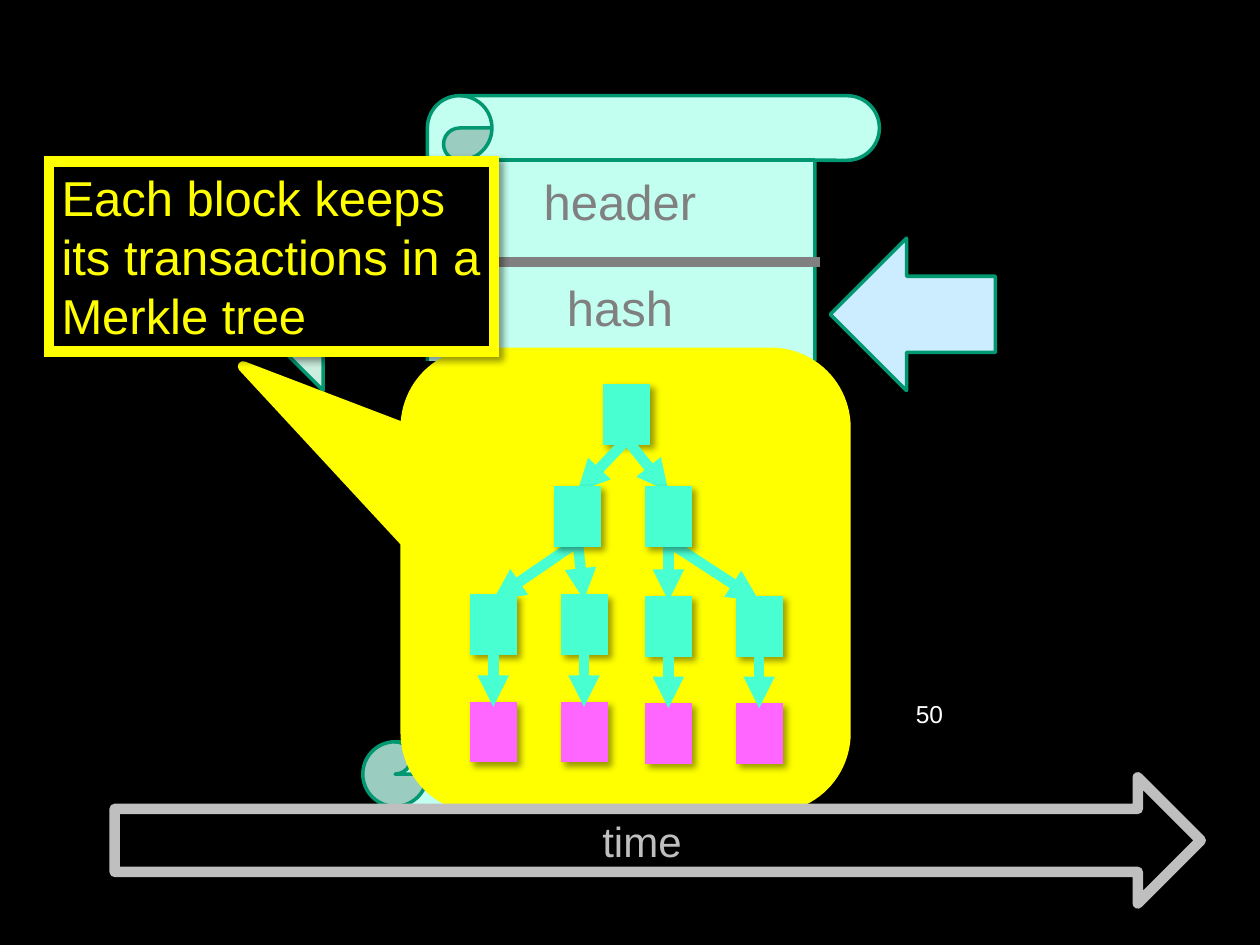
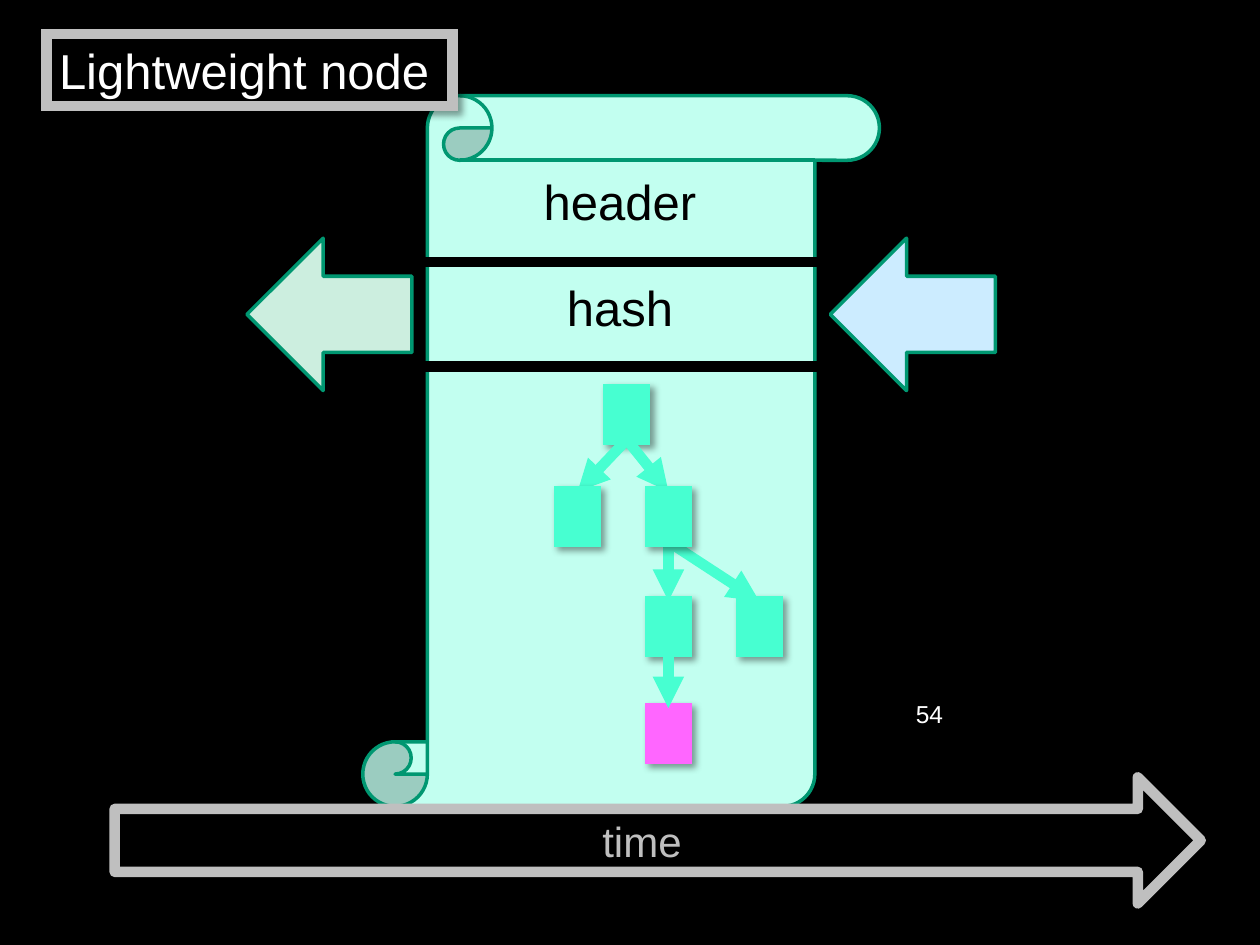
from lxml import etree
from pptx import Presentation
from pptx.dml.color import RGBColor
from pptx.enum.shapes import MSO_CONNECTOR, MSO_SHAPE
from pptx.enum.text import MSO_ANCHOR, MSO_AUTO_SIZE, PP_ALIGN
from pptx.oxml.ns import qn
from pptx.util import Inches, Pt

RECT, ARROW = MSO_SHAPE.RECTANGLE, MSO_SHAPE.RIGHT_ARROW
SCROLL, CALLOUT = MSO_SHAPE.VERTICAL_SCROLL, MSO_SHAPE.ROUNDED_RECTANGULAR_CALLOUT
STRAIGHT = MSO_CONNECTOR.STRAIGHT
LEFT, CENTER = PP_ALIGN.LEFT, PP_ALIGN.CENTER
TOP, MIDDLE = MSO_ANCHOR.TOP, MSO_ANCHOR.MIDDLE
FIT_TEXT = MSO_AUTO_SIZE.SHAPE_TO_FIT_TEXT

FONT = "Arial"
BLACK, WHITE, GRAY, SILVER = "000000", "FFFFFF", "808080", "BFBFBF"
YELLOW, MINT, GREEN = "FFFF00", "C2FFF0", "009771"
TEAL, PINK, PALE_GREEN, PALE_BLUE = "47FFD1", "FF66FF", "CCEEDF", "CCECFF"
THICK, THIN = 6, 2
NODE_W, NODE_H = 0.29, 0.4


def add_box(page, preset, at, fill=None, line=None, width=THICK, shadow=False,
            text="", size=28, color=WHITE, align=LEFT, anchor=TOP, wrap=True, grow=False):
    """Add a preset shape, or a text box when preset is None."""
    place = [Inches(length) for length in at]
    if preset is None:
        box = page.shapes.add_textbox(*place)
    else:
        box = page.shapes.add_shape(preset, *place)
        box.shadow.inherit = False
        box.fill.solid()
        box.fill.fore_color.rgb = RGBColor.from_string(fill)
        box.line.color.rgb = RGBColor.from_string(line)
        box.line.width = Pt(width)
    if shadow:
        properties = box._element.spPr
        etree.SubElement(properties.find(qn("a:ln")), qn("a:miter"), lim="800000")
        effect = etree.SubElement(properties.find(qn("a:effectLst")), qn("a:outerShdw"),
                                  blurRad="50800", dist="38100", dir="2700000",
                                  algn="tl", rotWithShape="0")
        tint = etree.SubElement(effect, qn("a:srgbClr"), val=BLACK)
        etree.SubElement(tint, qn("a:alpha"), val="40000")
    if text:
        frame = box.text_frame
        frame.text = text
        frame.word_wrap = wrap
        frame.vertical_anchor = anchor
        if grow:
            frame.auto_size = FIT_TEXT
        para = frame.paragraphs[0]
        para.alignment = align
        font = para.runs[0].font
        font.name, font.size = FONT, Pt(size)
        font.color.rgb = RGBColor.from_string(color)
    return box


def add_line(page, start, end, color, arrow=False):
    points = [Inches(length) for length in (*start, *end)]
    line = page.shapes.add_connector(STRAIGHT, *points)
    line.line.color.rgb = RGBColor.from_string(color)
    line.line.width = Pt(THICK)
    if arrow:
        etree.SubElement(line.line._get_or_add_ln(), qn("a:tailEnd"), type="triangle")
    etree.SubElement(line._element.spPr, qn("a:effectLst"))


# Merkle tree: node name -> left, top, and node -> parent
NODES = {
    "root": (4.83, 3.09), "L": (4.44, 3.9), "R": (5.16, 3.9),
    "LL": (3.77, 4.76), "LR": (4.49, 4.76), "RL": (5.16, 4.77), "RR": (5.88, 4.77),
    "LL tx": (3.77, 5.61), "LR tx": (4.49, 5.61), "RL tx": (5.16, 5.62), "RR tx": (5.88, 5.62),
}
PARENTS = {"L": "root", "R": "root", "LL": "L", "LR": "L", "RL": "R", "RR": "R",
           "LL tx": "LL", "LR tx": "LR", "RL tx": "RL", "RR tx": "RR"}
BRANCHES = ["L", "R"]

SLIDES = [
    {"number": "50", "ink": GRAY, "label_scale": 1, "callout": True, "nodes": list(NODES),
     "note": "Each block keeps its transactions in a Merkle tree",
     "note_at": (0.39, 1.28, 3.53, 1.51), "note_line": YELLOW, "note_color": YELLOW},
    {"number": "54", "ink": BLACK, "label_scale": 1.21, "callout": False,
     "nodes": ["root", "L", "R", "RL", "RR", "RL tx"],
     "note": "Lightweight node",
     "note_at": (0.37, 0.27, 3.22, 0.57), "note_line": SILVER, "note_color": WHITE},
]

deck = Presentation()
deck.slide_width, deck.slide_height = Inches(10), Inches(7.5)

for content in SLIDES:
    page = deck.slides.add_slide(deck.slide_layouts[6])
    page.background.fill.solid()
    page.background.fill.fore_color.rgb = RGBColor.from_string(BLACK)

    # Block scroll with its dividers and labels
    add_box(page, SCROLL, (2.88, 0.76, 4.1, 5.64), MINT, GREEN, THIN)
    for top, color in ((2.91, BLACK), (2.08, content["ink"])):
        add_line(page, (3.33, top), (6.51, top), color)
    for label, top, width in (("hash", 2.15, 1.06), ("header", 1.31, 1.43)):
        width *= content["label_scale"]
        height = 0.57 * content["label_scale"]
        add_box(page, None, (4.92 - width / 2, top, width, height), text=label,
                color=content["ink"], align=CENTER, wrap=False, grow=True)

    # Arrow to the previous block, callout, page number and time axis
    previous = add_box(page, ARROW, (1.96, 1.89, 1.31, 1.21), PALE_GREEN, GREEN, THIN)
    if content["callout"]:
        callout = add_box(page, CALLOUT, (3.22, 2.8, 3.49, 3.61), YELLOW, YELLOW)
        for index, value in enumerate((-0.87, -0.47, 0.17)):
            callout.adjustments[index] = value
    add_box(page, None, (7.17, 5.5, 2.08, 0.5), text=content["number"], size=14)
    add_box(page, ARROW, (0.91, 6.17, 8.62, 1), BLACK, SILVER, text="time", size=24,
            color=SILVER, align=CENTER, anchor=MIDDLE)

    # Arrow from the next block; both block arrows point left
    following = add_box(page, ARROW, (6.59, 1.89, 1.31, 1.21), PALE_BLUE, GREEN, THIN)
    for arrow in (previous, following):
        arrow._element.spPr.find(qn("a:xfrm")).set("flipH", "1")

    # Tree: the branch nodes lie over the arrows, the others under them
    shown = content["nodes"]
    for name in [name for name in shown if name not in BRANCHES]:
        color = PINK if name.endswith("tx") else TEAL
        add_box(page, RECT, (*NODES[name], NODE_W, NODE_H), color, color, shadow=True)
    for name in shown[1:]:
        parent_left, parent_top = NODES[PARENTS[name]]
        left, top = NODES[name]
        add_line(page, (parent_left + NODE_W / 2, parent_top + NODE_H),
                 (left + NODE_W / 2, top), TEAL, arrow=True)
    for name in BRANCHES:
        add_box(page, RECT, (*NODES[name], NODE_W, NODE_H), TEAL, TEAL, shadow=True)

    # Framed note
    add_box(page, RECT, content["note_at"], BLACK, content["note_line"], shadow=True,
            text=content["note"], color=content["note_color"], grow=True)

deck.save("out.pptx")
